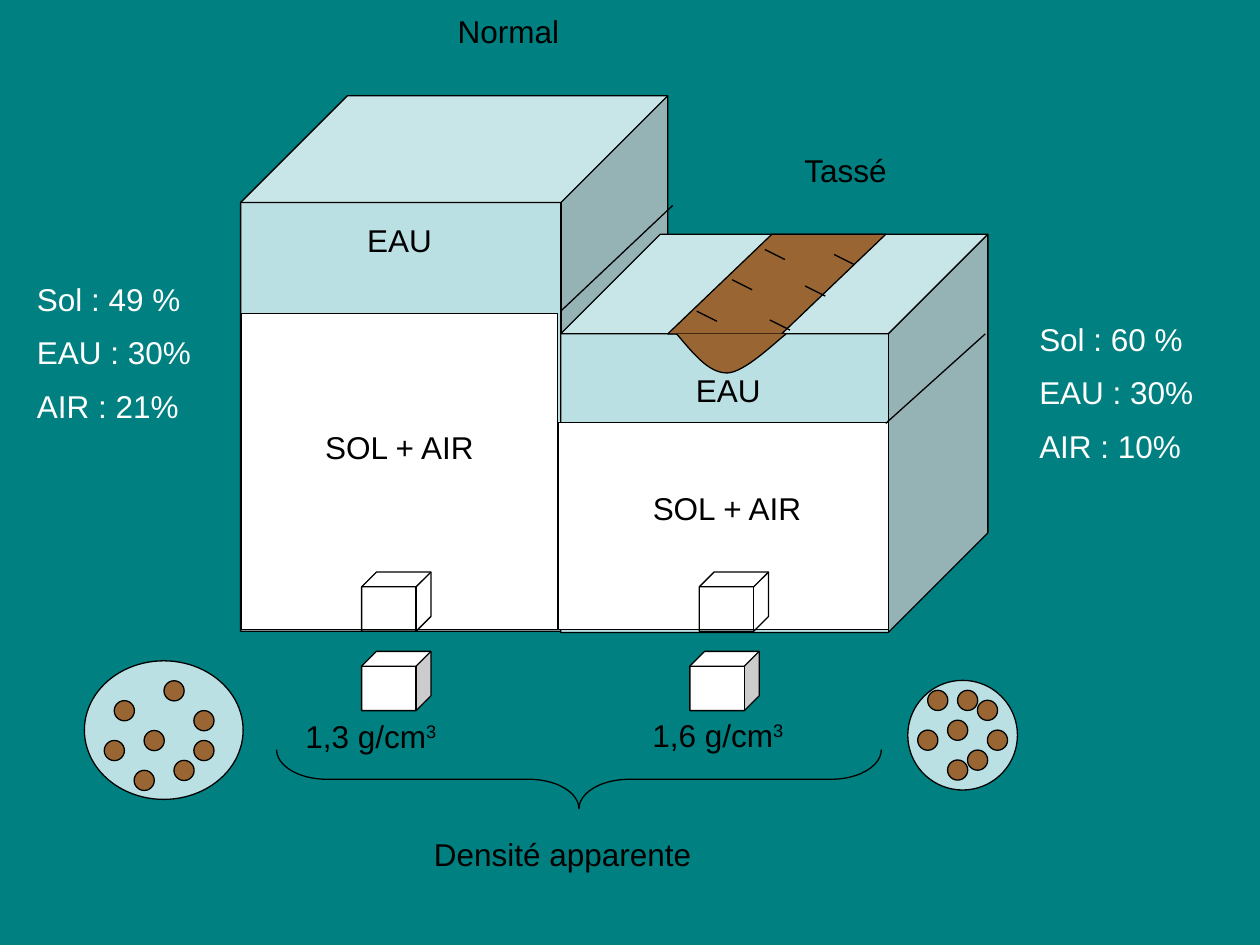
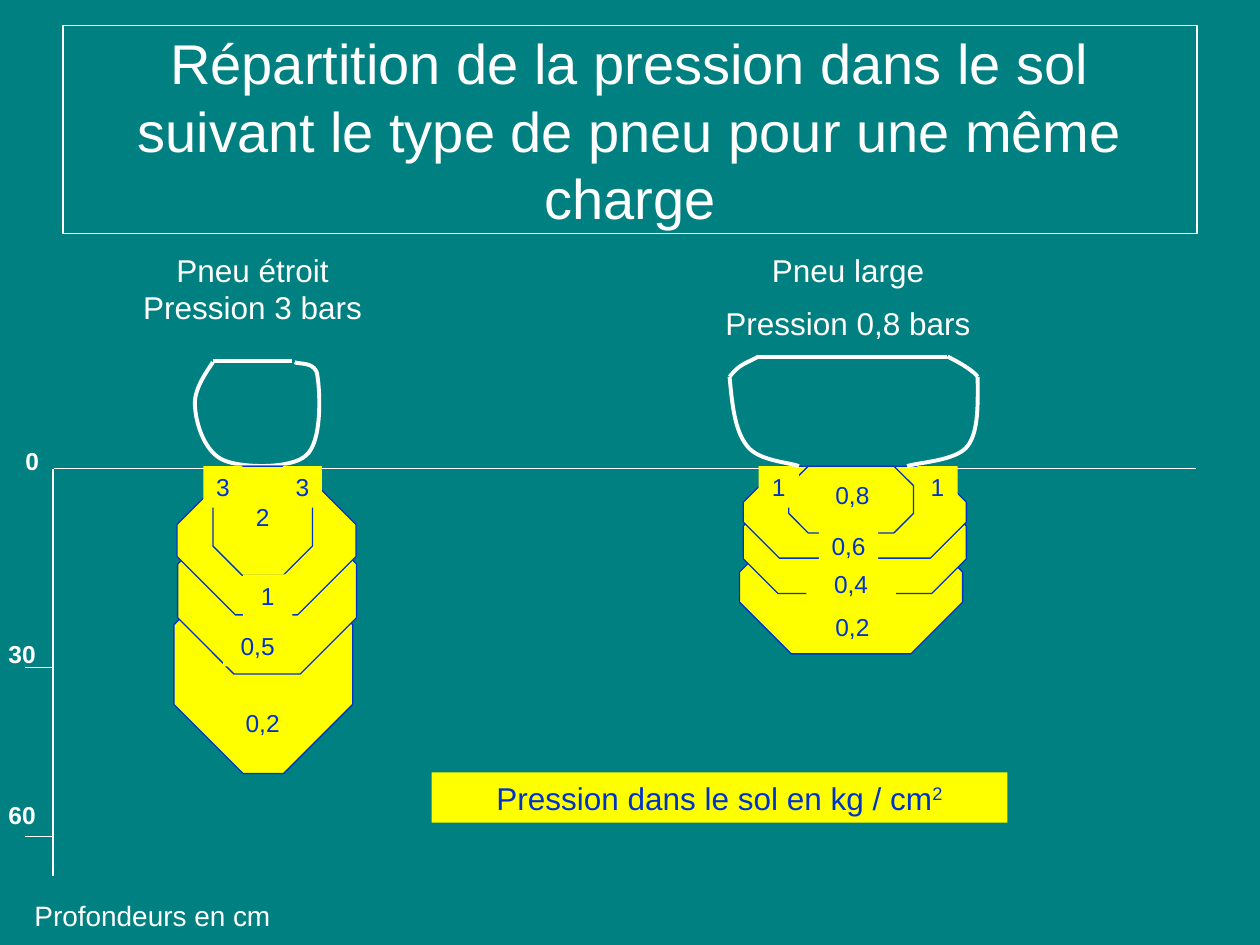
import dataclasses

import pptx
import pptx.dml.color
import pptx.enum.shapes
import pptx.enum.text
import pptx.oxml.ns
import pptx.util
from lxml import etree

Colour = pptx.dml.color.RGBColor
Shape = pptx.enum.shapes.MSO_SHAPE
Align = pptx.enum.text.PP_ALIGN

TEAL = Colour(0x00, 0x80, 0x80)
WATER = Colour(0xBB, 0xE0, 0xE3)
EARTH = Colour(0x99, 0x66, 0x33)
YELLOW = Colour(0xFF, 0xFF, 0x00)
BLUE = Colour(0x00, 0x33, 0xCC)
WHITE = Colour(0xFF, 0xFF, 0xFF)
BLACK = Colour(0x00, 0x00, 0x00)

FONT = "Arial"
THIN, THICK = 0.75, 2.25
COLUMNS, ROWS = 100, 75
CELL = pptx.util.Inches(0.1)
GRAIN_STEP = 0.79
LAYER_CUTS = (0.387, 0.339, 0.392, 0.292)


@dataclasses.dataclass
class Box:
    """A rectangle in grid cells."""
    left: float
    top: float
    width: float
    height: float

    def inner(self, left, top, width, height):
        return Box(self.left + left, self.top + top, width, height)

    def point(self, x, y):
        return self.left + x, self.top + y

    def frame(self):
        return [cells(n) for n in (self.left, self.top, self.width, self.height)]


def cells(count):
    return round(count * CELL)


def style(shape, fill, line, weight=THIN):
    if fill is None:
        shape.fill.background()
    else:
        shape.fill.solid()
        shape.fill.fore_color.rgb = fill
    if line is None:
        shape.line.fill.background()
    else:
        shape.line.color.rgb = line
        shape.line.width = pptx.util.Pt(weight)
    shape.shadow.inherit = False


def draw(page, kind, box, fill=None, line=BLACK, adjust=()):
    shape = page.shapes.add_shape(kind, *box.frame())
    for index, value in enumerate(adjust):
        shape.adjustments[index] = value
    style(shape, fill, line)
    return shape


def rule(page, start, end, colour=BLACK, weight=THIN):
    line = page.shapes.add_connector(
        pptx.enum.shapes.MSO_CONNECTOR.STRAIGHT,
        *[cells(n) for n in (*start, *end)])
    line.line.color.rgb = colour
    line.line.width = pptx.util.Pt(weight)
    etree.SubElement(line._element.spPr, pptx.oxml.ns.qn("a:effectLst"))


def curve(page, box, points, fill=None, colour=BLACK, weight=THIN):
    """Draw joined cubic curves: a start, then two controls and an end for each."""
    qn = pptx.oxml.ns.qn
    places = [tuple(cells(n) for n in box.point(*point)) for point in points]
    builder = page.shapes.build_freeform(*places[0])
    builder.add_line_segments(places[1:], close=False)
    shape = builder.convert_to_shape()
    sides = list(shape._element.iter(qn("a:lnTo")))
    outline = sides[0].getparent()
    for first in range(0, len(sides), 3):
        cubic = etree.SubElement(outline, qn("a:cubicBezTo"))
        for side in sides[first:first + 3]:
            cubic.append(side[0])
            outline.remove(side)
    style(shape, fill, colour, weight)


def write(shape, lines, size=18, colour=BLACK, align=Align.CENTER, bold=False, side=1,
          gaps=(9, 9)):
    """Fill a shape with paragraphs; a (text, exponent) pair raises the exponent."""
    frame = shape.text_frame
    frame.word_wrap = True
    frame.margin_left = frame.margin_right = cells(side)
    for index, line in enumerate(lines):
        para = frame.paragraphs[0] if index == 0 else frame.add_paragraph()
        para.alignment = align
        if index:
            para.space_before = pptx.util.Pt(gaps[index - 1])
        parts = (line,) if isinstance(line, str) else line
        for place, part in enumerate(parts):
            span = para.add_run()
            span.text = part
            span.font.name = FONT
            span.font.size = pptx.util.Pt(size)
            span.font.bold = bold
            span.font.color.rgb = colour
            if place:
                span._r.get_or_add_rPr().set("baseline", "30000")


def label(page, box, *lines, **options):
    shape = page.shapes.add_textbox(*box.frame())
    write(shape, lines, **options)
    return shape


def soil_block(page, box, soil, water_line, water_label, soil_label):
    """Draw a block of water over soil; water_line marks their limit on the side."""
    draw(page, Shape.CUBE, box, WATER, adjust=[0.25])
    draw(page, Shape.RECTANGLE, box.inner(*soil), WHITE)
    rule(page, *[box.point(*end) for end in water_line])
    for text, place in (("EAU", water_label), ("SOL + AIR", soil_label)):
        label(page, box.inner(*place, 14.2, 4), text)


def wheel_track(page, box):
    draw(page, Shape.PARALLELOGRAM, box, EARTH, adjust=[1.045])
    curve(page, box, [(0.7, 7.9), (2, 9.4), (3.2, 11), (4.7, 11),
                      (6.1, 11), (8.7, 8.4), (9.4, 7.9)], EARTH)
    for x, y in ((2.3, 6.1), (10.9, 4.1), (5.1, 3.6), (13.2, 1.6), (8.1, 6.8), (7.7, 1.2)):
        rule(page, box.point(x, y), box.point(x + 1.6, y + 0.8))


def density_sample(page, box, lower_x, text_x, text_y, value):
    """Draw a cube cut from the soil, the cube taken out and its density."""
    size = (5.5, 4.7)
    draw(page, Shape.CUBE, box.inner(0, 0, *size), adjust=[0.25])
    draw(page, Shape.CUBE, box.inner(lower_x, 6.3, *size), WHITE, adjust=[0.25])
    label(page, box.inner(text_x, text_y, 17.3, 4), (value + " g/cm", "3"), align=Align.LEFT)


def aggregate(page, box, grains):
    draw(page, Shape.OVAL, box, WATER)
    for column, row in grains:
        grain = box.inner(column * GRAIN_STEP, row * GRAIN_STEP, 1.6, 1.6)
        draw(page, Shape.OVAL, grain, EARTH)


def shares(page, box, soil, air):
    label(page, box, f"Sol : {soil} %", "EAU : 30%", f"AIR : {air}%",
          colour=WHITE, align=Align.LEFT)


def density_summary(page, box):
    brace = draw(page, Shape.RIGHT_BRACE, box.inner(21.65, -21.65, 4.7, 48),
                 adjust=[0.848, 0.5])
    brace.rotation = 90
    label(page, box.inner(11.5, 6.3, 26.8, 4), "Densité apparente", align=Align.LEFT)


def new_page(deck):
    page = deck.slides.add_slide(deck.slide_layouts[6])
    page.background.fill.solid()
    page.background.fill.fore_color.rgb = TEAL
    return page


def compaction_page(deck):
    page = new_page(deck)
    normal = Box(19.1, 7.6, 33.9, 42.5)
    packed = Box(44.5, 18.6, 33.9, 31.6)
    soil_block(page, normal, (0.05, 17.3, 25.1, 25.05), ((25.4, 17.1), (34.3, 8.7)),
               (5.5, 9.45), (5.5, 25.9))
    soil_block(page, packed, (-0.2, 14.95, 26.2, 16.4), ((25.8, 15), (33.7, 7.9)),
               (6.2, 10.35), (6.1, 19.7))
    wheel_track(page, packed.inner(8.5, 0, 17.3, 7.9))
    label(page, Box(33.25, 0.5, 14.2, 4), "Normal")
    label(page, Box(60, 11.5, 14.2, 4), "Tassé")
    shares(page, Box(1.95, 21.7, 15.7, 13), 49, 21)
    shares(page, Box(81.5, 24.9, 15.7, 13), 60, 10)
    density_sample(page, normal.inner(9.6, 37.8, 8, 15), 0, -5.45, 11, "1,3")
    density_sample(page, packed.inner(11, 26.8, 8, 15), -0.75, -4.7, 10.9, "1,6")
    aggregate(page, Box(6.7, 52.45, 12.6, 11),
              ((3, 4), (6, 7), (9, 10), (8, 2), (11, 5), (2, 8), (11, 8), (5, 11)))
    aggregate(page, Box(72.05, 54, 8.7, 8.7),
              ((2, 1), (4, 4), (6, 7), (5, 1), (7, 2), (1, 5), (8, 5), (4, 8)))
    density_summary(page, Box(21.95, 59.5, 48, 10.3))


def title(page, text):
    shape = draw(page, Shape.RECTANGLE, Box(5, 2.05, 90, 16.5), line=WHITE)
    write(shape, [text], size=32, colour=WHITE)


def depth_axis(page, box):
    """Draw the ground line and the depth scale below it."""
    rule(page, box.point(2.3, 0), box.point(box.width, 0), WHITE)
    rule(page, box.point(2.2, 0), box.point(2.2, box.height), WHITE)
    for tick in (15.8, 29.2):
        rule(page, box.point(0, tick), box.point(2.2, tick), WHITE)
    depths = label(page, box.inner(-4, -2.3, 7.5, 32.8), "0", "30", "60",
                   size=14, colour=WHITE, bold=True, gaps=(93.3, 75.6))
    depths.text_frame.paragraphs[0]._p.get_or_add_pPr().set("marL", str(cells(1.6)))
    label(page, box.inner(-1.6, 33.6, 23.4, 3.7), "Profondeurs en cm", size=16, colour=WHITE)


def tyre(page, box, tread, *curves):
    """Outline a tyre; tread holds the ends of its flat top."""
    rule(page, box.point(tread[0], 0), box.point(tread[1], 0), WHITE, THICK)
    for points in curves:
        curve(page, box, points, colour=WHITE, weight=THICK)


def pressure_bulb(page, box, layers, values):
    """Stack the layers from the deepest up, then place the pressure values."""
    for layer, cut in zip(layers, LAYER_CUTS):
        draw(page, Shape.OCTAGON, box.inner(*layer), YELLOW, BLUE, [cut])
    for text, x, y, width in values:
        shape = draw(page, Shape.RECTANGLE, box.inner(x, y, width, 3.3), YELLOW, None)
        write(shape, [text], size=14, colour=BLUE, side=0)


def narrow_tyre(page, box):
    label(page, box.inner(0, 0, 22, 7), "Pneu étroit Pression 3 bars", colour=WHITE)
    tyre(page, box.inner(6.25, 9.25, 10.2, 8.7), (1.6, 7.9),
         [(1.6, 0.1), (0.8, 1.3), (0, 2.5), (0.2, 3.8), (0.3, 5.1), (1, 7.3), (2.5, 7.9),
          (3.9, 8.5), (7.8, 8.6), (9, 7.5), (10.3, 6.4), (10.1, 2.4), (9.9, 1.2),
          (9.8, 0), (8.4, 0.3), (8.1, 0.1)])
    pressure_bulb(page, box.inner(4.75, 17.6, 14.5, 24.4),
                  ((0, 7.1, 14.2, 17.3), (0.3, 3.3, 14.2, 13.2),
                   (0.25, 0, 14.2, 11.8), (3.1, 0, 7.9, 8.65)),
                  (("2", 5.5, 2.35, 3.1), ("1", 5.5, 8.6, 3.9), ("0,5", 3.9, 12.6, 5.5),
                   ("0,2", 4.7, 18.7, 4.7), ("3", 8.65, 0, 3.1), ("3", 2.35, 0, 3.1)))


def wide_tyre(page, box):
    label(page, box.inner(0, 0, 22, 8.5), "Pneu large", "Pression 0,8 bars", colour=WHITE)
    pressure_bulb(page, box.inner(2.4, 17.6, 18, 14.9),
                  ((0, 4.3, 17.7, 10.6), (0.3, 2, 17.7, 8.1),
                   (0.3, 0, 17.7, 7.3), (3.9, 0, 9.9, 5.3)),
                  (("0,8", 6.2, 0.6, 5.5), ("0,6", 6.3, 4.7, 4.7), ("0,4", 5.3, 7.7, 7.1),
                   ("0,2", 4.5, 11.1, 8.9), ("1", 1.5, 0, 3.2), ("1", 14.1, 0, 3.2)))
    tyre(page, box.inner(1.6, 8.9, 19.7, 8.7), (2.3, 17.3),
         [(0, 1.6), (0.2, 3.7), (0.4, 5.9), (1.4, 7.1), (2.3, 8.3), (4.8, 8.4), (5.5, 8.7)],
         [(19.7, 1.6), (19.7, 3.7), (19.8, 5.9), (18.9, 7.1),
          (18, 8.3), (14.9, 8.4), (14.1, 8.7)],
         [(2.3, 0), (1.8, 0.3), (1.2, 0.5), (0.8, 0.8), (0.4, 1.1), (0.1, 1.5), (0, 1.6)],
         [(17.3, 0), (18.3, 0.5), (19.3, 1.1), (19.7, 1.6)])


def pressure_page(deck):
    page = new_page(deck)
    title(page, "Répartition de la pression dans le sol suivant le type de pneu "
                "pour une même charge")
    depth_axis(page, Box(2, 37.2, 92.9, 32.3))
    narrow_tyre(page, Box(9.05, 19.4, 22, 42))
    wide_tyre(page, Box(56.3, 19.4, 22, 33))
    unit = draw(page, Shape.RECTANGLE, Box(34.25, 61.3, 45.7, 4), YELLOW, None)
    write(unit, [("Pression dans le sol en kg / cm", "2")], colour=BLUE)


def main():
    deck = pptx.Presentation()
    deck.slide_width, deck.slide_height = cells(COLUMNS), cells(ROWS)
    compaction_page(deck)
    pressure_page(deck)
    deck.save("out.pptx")


if __name__ == "__main__":
    main()
